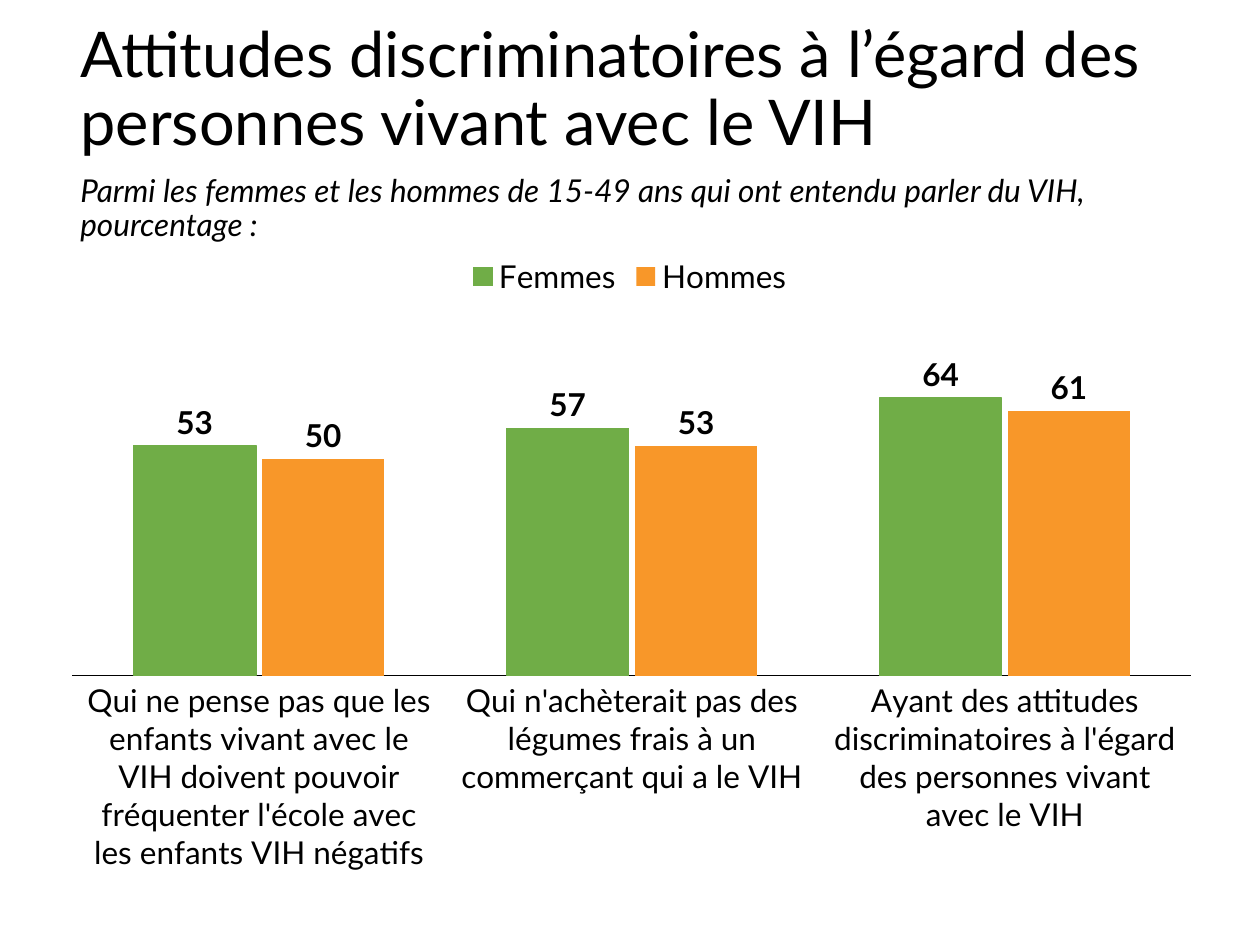
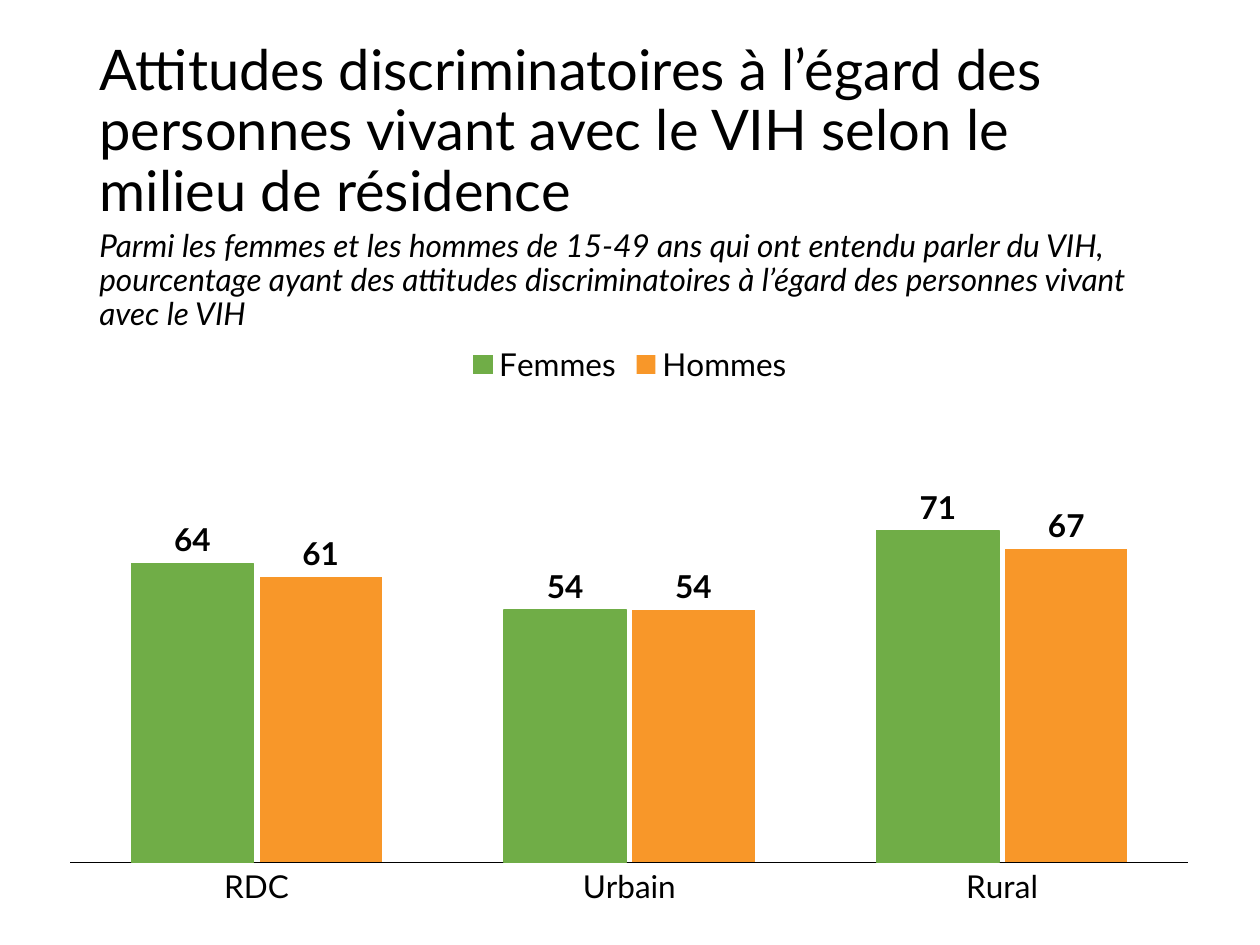
from lxml import etree
from pptx import Presentation, util as u
from pptx.chart.data import CategoryChartData
from pptx.dml.color import RGBColor
from pptx.enum import chart as charts, text
from pptx.oxml.ns import qn

EMU_PER_PX = 914400 / 126
FONT = "Lato"
COLORS = {"text": "000000", "Femmes": "70AD47", "Hommes": "F89729"}

SLIDES = [
    {
        "title": "Attitudes discriminatoires à l’égard des personnes vivant avec le VIH",
        "title_box": (68, 14, 1086, 155),
        "title_size": 36,
        "subtitle": "Parmi les femmes et les hommes de 15-49 ans qui ont entendu "
                    "parler du VIH, pourcentage :",
        "subtitle_box": (68, 169, 1086, 106),
        "chart_box": (68, 242, 1124, 682),
        "plot": {"x": 0.004, "y": 0, "w": 0.996, "h": 0.636},
        "categories": [
            "Qui ne pense pas que les enfants vivant avec le VIH doivent pouvoir "
            "fréquenter l'école avec les enfants VIH négatifs",
            "Qui n'achèterait pas des légumes frais à un commerçant qui a le VIH",
            "Ayant des attitudes discriminatoires à l'égard des personnes vivant avec le VIH",
        ],
        "values": {"Femmes": (53, 57, 64), "Hommes": (50, 53, 61)},
    },
    {
        "title": "Attitudes discriminatoires à l’égard des personnes vivant avec le VIH "
                 "selon le milieu de résidence",
        "title_box": (87, 55, 1086, 155),
        "title_size": 32,
        "subtitle": "Parmi les femmes et les hommes de 15-49 ans qui ont entendu "
                    "parler du VIH, pourcentage ayant des attitudes discriminatoires "
                    "à l’égard des personnes vivant avec le VIH",
        "subtitle_box": (87, 224, 1086, 127),
        "chart_box": (68, 330, 1124, 615),
        "plot": {"x": 0.002, "y": 0.106, "w": 0.995, "h": 0.76},
        "categories": ["RDC", "Urbain", "Rural"],
        "values": {"Femmes": (64, 54, 71), "Hommes": (61, 54, 67)},
    },
]


def px(*lengths):
    return [u.Emu(round(length * EMU_PER_PX)) for length in lengths]


def write(shape, content, size, anchor=text.MSO_ANCHOR.TOP, italic=False):
    frame = shape.text_frame
    frame.word_wrap = True
    frame.auto_size = text.MSO_AUTO_SIZE.NONE
    frame.vertical_anchor = anchor
    paragraph = frame.paragraphs[0]
    paragraph.alignment = text.PP_ALIGN.LEFT
    paragraph.line_spacing = 0.9
    run = paragraph.add_run()
    run.text = content
    run.font.name = FONT
    run.font.size = u.Pt(size)
    run.font.italic = italic
    run.font.color.rgb = RGBColor.from_string(COLORS["text"])


presentation = Presentation()
presentation.slide_width, presentation.slide_height = px(1260, 945)
title_only = presentation.slide_layouts[5]

for content in SLIDES:
    slide = presentation.slides.add_slide(title_only)
    title = slide.shapes.title
    title.left, title.top, title.width, title.height = px(*content["title_box"])
    write(title, content["title"], content["title_size"], anchor=text.MSO_ANCHOR.MIDDLE)
    subtitle = slide.shapes.add_textbox(*px(*content["subtitle_box"]))
    write(subtitle, content["subtitle"], 18, italic=True)

    data = CategoryChartData(number_format="0")
    data.categories = content["categories"]
    for name, values in content["values"].items():
        data.add_series(name, values)
    chart = slide.shapes.add_chart(
        charts.XL_CHART_TYPE.COLUMN_CLUSTERED, *px(*content["chart_box"]), data
    ).chart
    chart.has_title = False
    chart.font.name = FONT
    chart.font.size = u.Pt(18)
    chart.font.color.rgb = RGBColor.from_string(COLORS["text"])
    chart.has_legend = True
    chart.legend.position = charts.XL_LEGEND_POSITION.TOP
    chart.legend.include_in_layout = False

    value_axis = chart.value_axis
    value_axis.minimum_scale, value_axis.maximum_scale = 0, 100
    value_axis.has_major_gridlines = False
    value_axis.visible = False
    category_axis = chart.category_axis
    category_axis.major_tick_mark = charts.XL_TICK_MARK.NONE
    category_axis.format.line.width = u.Pt(0.75)
    category_axis.format.line.color.rgb = RGBColor.from_string(COLORS["text"])

    plot = chart.plots[0]
    plot.gap_width, plot.overlap = 100, -5
    plot.vary_by_categories = False
    for series in plot.series:
        color = RGBColor.from_string(COLORS[series.name])
        series.format.fill.solid()
        series.format.fill.fore_color.rgb = color
        if series.name == "Femmes":
            series.format.line.width = u.Pt(0.75)
            series.format.line.color.rgb = color
        else:
            series.format.line.fill.background()
        labels = series.data_labels
        labels.show_value = True
        labels.position = charts.XL_LABEL_POSITION.OUTSIDE_END
        labels.font.name = FONT
        labels.font.size = u.Pt(18)
        labels.font.bold = True
        labels.font.color.rgb = RGBColor.from_string(COLORS["text"])

    plot_area = chart.element.find(".//" + qn("c:plotArea"))
    for automatic_layout in plot_area.findall(qn("c:layout")):
        plot_area.remove(automatic_layout)
    layout = etree.Element(qn("c:layout"))
    manual = etree.SubElement(layout, qn("c:manualLayout"))
    settings = {"layoutTarget": "inner", "xMode": "edge", "yMode": "edge", **content["plot"]}
    for tag, value in settings.items():
        etree.SubElement(manual, qn(f"c:{tag}"), val=str(value))
    plot_area.insert(0, layout)

presentation.save("out.pptx")
